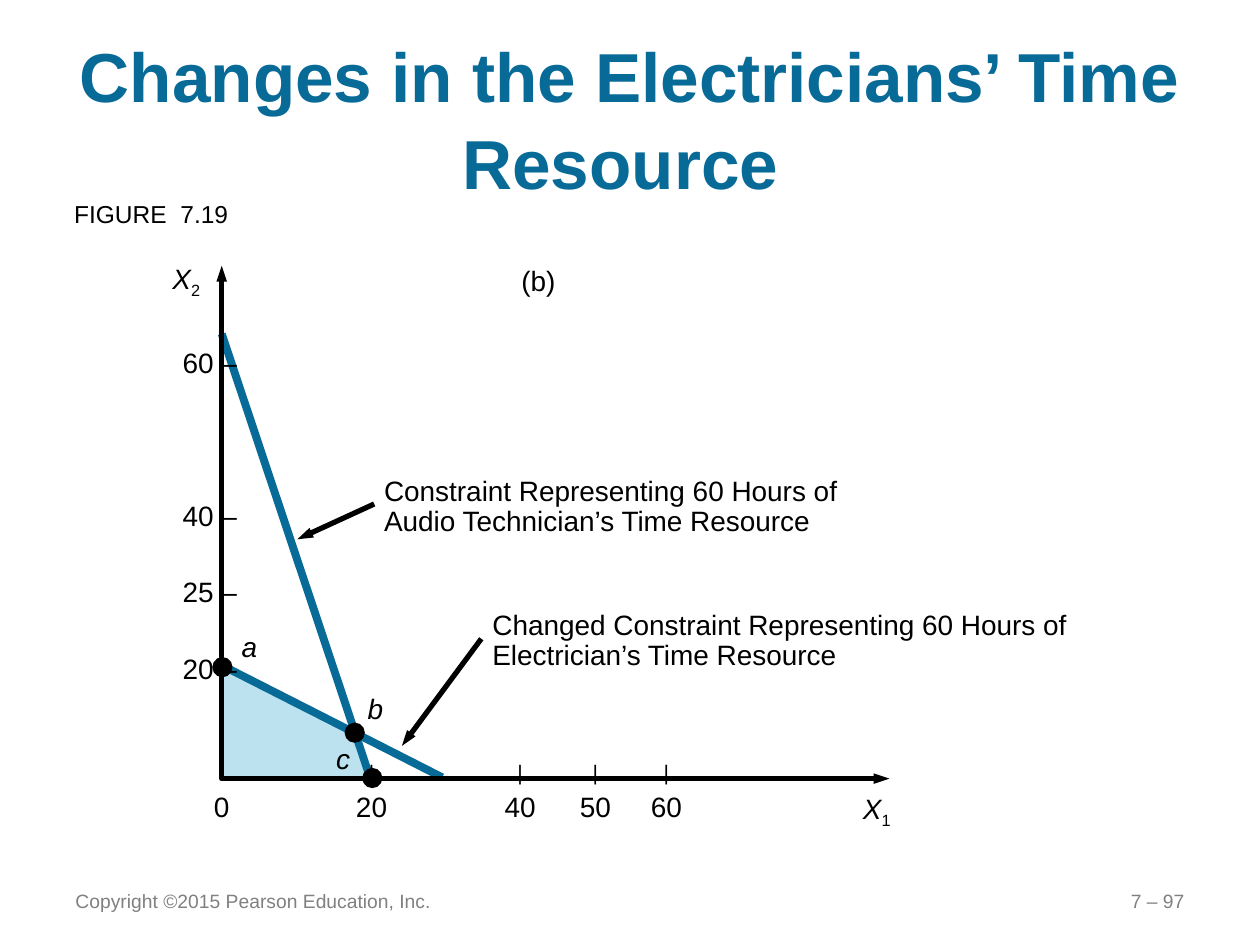
from lxml import etree
from pptx import Presentation
from pptx.dml.color import RGBColor
from pptx.enum.shapes import MSO_CONNECTOR, MSO_SHAPE
from pptx.enum.text import MSO_ANCHOR, MSO_AUTO_SIZE, PP_ALIGN
from pptx.oxml.ns import qn
from pptx.util import Pt

LEFT, CENTER, RIGHT = PP_ALIGN.LEFT, PP_ALIGN.CENTER, PP_ALIGN.RIGHT
TOP, MIDDLE = MSO_ANCHOR.TOP, MSO_ANCHOR.MIDDLE
FIT, NO_FIT = MSO_AUTO_SIZE.SHAPE_TO_FIT_TEXT, MSO_AUTO_SIZE.NONE
STRAIGHT, OVAL = MSO_CONNECTOR.STRAIGHT, MSO_SHAPE.OVAL

PX = 9144  # 100 px to the inch
TITLE_ONLY = 5
FONT = "Arial"
LABEL_SIZE = 16
COLORS = {"ink": "000000", "blue": "086B97", "region": "BBE2EE", "footer": "808080"}


def color(name):
    return RGBColor.from_string(COLORS[name])


def add_run(paragraph, text, size=LABEL_SIZE, ink="ink", italic=False, bold=False):
    run = paragraph.add_run()
    run.text = text
    run.font.name = FONT
    run.font.size = Pt(size)
    run.font.italic = italic
    run.font.bold = bold
    run.font.color.rgb = color(ink)
    return run


def add_text(slide, box, lines, align=LEFT, ink="ink", wrap=False, spacing=None,
             gap=0, anchor=TOP, fit=FIT):
    """Add one paragraph for each (text, size, italic) line."""
    shape = slide.shapes.add_textbox(*(value * PX for value in box))
    frame = shape.text_frame
    frame.word_wrap = wrap
    frame.auto_size = fit
    frame.vertical_anchor = anchor
    for index, (text, size, italic) in enumerate(lines):
        paragraph = frame.add_paragraph() if index else frame.paragraphs[0]
        paragraph.alignment = align
        if spacing:
            paragraph.line_spacing = spacing
        if index and gap:
            paragraph.space_before = Pt(gap)
        add_run(paragraph, text, size, ink, italic)
    return frame


def set_tabs(paragraph, positions):
    properties = paragraph._p.get_or_add_pPr()
    tabs = etree.SubElement(properties, qn("a:tabLst"))
    for position in positions:
        etree.SubElement(tabs, qn("a:tab"), pos=str(position * PX), algn="ctr")


def style_line(line, ink, width, ends=()):
    line.color.rgb = color(ink)
    line.width = Pt(width)
    for end in ends:
        etree.SubElement(line._get_or_add_ln(), qn("a:" + end),
                         type="triangle", w="sm", len="med")


def add_line(slide, start, end, ink, width, ends=()):
    connector = slide.shapes.add_connector(
        STRAIGHT, *(value * PX for value in (*start, *end)))
    style_line(connector.line, ink, width, ends)
    etree.SubElement(connector._element.spPr, qn("a:effectLst"))


def add_outline(slide, points, close):
    builder = slide.shapes.build_freeform(*points[0], scale=PX)
    builder.add_line_segments(points[1:], close=close)
    shape = builder.convert_to_shape()
    shape.shadow.inherit = False
    return shape


def add_title(slide, box):
    title = slide.shapes.title
    title.left, title.top, title.width, title.height = (value * PX for value in box)
    frame = title.text_frame
    frame.word_wrap = True
    frame.auto_size = NO_FIT
    frame.vertical_anchor = MIDDLE
    paragraph = frame.paragraphs[0]
    paragraph.alignment = CENTER
    paragraph.line_spacing = 1.05
    add_run(paragraph, "Changes in the Electricians’ Time Resource ",
            39.6, "blue", bold=True)


def add_constraints(slide, box):
    """Feasible region, constraint lines, corner points and callouts."""
    left, top = box[:2]

    def at(x, y):
        return left + x, top + y

    # Feasible region
    region = add_outline(
        slide, [at(0, 318), at(0, 406), at(118, 406), at(106, 370)], True)
    region.fill.solid()
    region.fill.fore_color.rgb = color("region")
    region.line.fill.background()

    add_text(slide, (*at(228, -7), 49, 37), [("(b)", LABEL_SIZE, False)])

    # Constraint lines
    for start, end in [((0, 54), (118, 407)), ((0, 317), (175, 406))]:
        add_line(slide, at(*start), at(*end), "blue", 4.5)

    # Corner points with their letters
    corners = [("a", (0, 318), (6, 284)), ("b", (105, 370), (106, 333)),
               ("c", (119, 406), (81, 373))]
    for letter, (x, y), label in corners:
        dot = slide.shapes.add_shape(
            OVAL, *(value * PX for value in (*at(x - 7, y - 7), 15, 15)))
        dot.shadow.inherit = False
        dot.fill.solid()
        dot.fill.fore_color.rgb = color("ink")
        style_line(dot.line, "ink", 0.75)
        add_text(slide, (*at(*label), 38, 37), [(letter, LABEL_SIZE, True)])

    # Callouts
    callouts = [
        ("Constraint Representing 60 Hours of Audio Technician’s Time Resource",
         (119, 163), 426, (121, 189), (60, 217)),
        ("Changed Constraint Representing 60 Hours of Electrician’s Time Resource",
         (205, 269), 500, (206, 296), (143, 381)),
    ]
    for text, place, width, start, end in callouts:
        add_text(slide, (*at(*place), width, 59), [(text, LABEL_SIZE, False)],
                 wrap=True, spacing=0.9)
        add_line(slide, at(*start), at(*end), "ink", 3, ["tailEnd"])


def add_axes(slide, box):
    """Axis lines, tick labels and axis names around the plot box."""
    left, top, width, height = box

    # Axis lines
    corner = (left, top + height)
    axes = add_outline(
        slide, [(left, top), corner, (left + width, top + height)], False)
    axes.fill.background()
    style_line(axes.line, "ink", 3, ["headEnd", "tailEnd"])

    # Vertical ticks
    add_text(slide, (left - 43, top - 32, 65, 349),
             [(f"{value} –", LABEL_SIZE, False) for value in (60, 40, 20)],
             align=RIGHT, spacing=4.39, gap=3.2)
    add_text(slide, (left - 41, top + 240, 63, 37),
             [("25 –", LABEL_SIZE, False)], align=RIGHT)

    # Horizontal ticks
    tick_top = top + height - 23
    frame = add_text(slide, (left - 29, tick_top, 455, 64),
                     [("\t\t|\t|\t|", 12, False),
                      ("\t0\t20\t40\t60", LABEL_SIZE, False)],
                     wrap=True, spacing=1.15)
    for paragraph in frame.paragraphs:
        set_tabs(paragraph, (19, 138, 256, 372))
    add_text(slide, (left + 274, tick_top, 45, 64),
             [("|", 12, False), ("50", LABEL_SIZE, False)],
             align=CENTER, spacing=1.15)

    # Axis names
    for index, x, y in [("1", 499, 412), ("2", -49, -8)]:
        frame = add_text(slide, (left + x, top + y, 45, 37),
                         [("X", LABEL_SIZE, True)])
        subscript = add_run(frame.paragraphs[0], index)
        subscript._r.get_or_add_rPr().set("baseline", "-25000")


def add_footer(slide, box):
    left, top, width, height = box
    page_width = 233
    parts = [("Copyright ©2015 Pearson Education, Inc.", left, 308, LEFT),
             ("7 – 97", left + width - page_width, page_width, RIGHT)]
    for text, x, part_width, align in parts:
        add_text(slide, (x, top, part_width, height), [(text, 11, False)],
                 align, "footer", wrap=True, anchor=MIDDLE, fit=NO_FIT)


def main():
    presentation = Presentation()
    presentation.slide_width = 1000 * PX
    presentation.slide_height = 750 * PX
    slide = presentation.slides.add_slide(presentation.slide_layouts[TITLE_ONLY])
    plot = (176, 211, 530, 407)
    add_title(slide, (50, 30, 900, 125))
    add_constraints(slide, plot)
    add_axes(slide, plot)
    add_text(slide, (49, 153, 144, 34), [("FIGURE  7.19", 14, False)])
    add_footer(slide, (50, 695, 900, 40))
    presentation.save("out.pptx")


if __name__ == "__main__":
    main()
